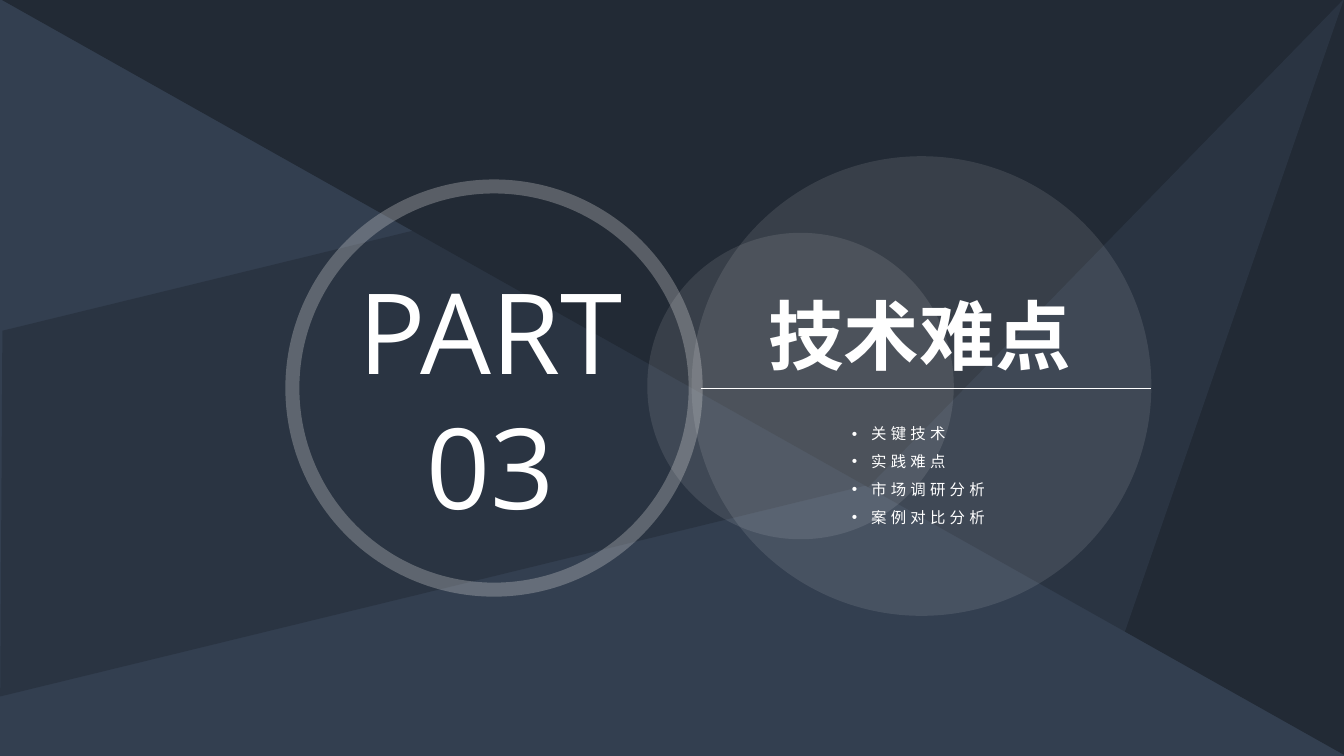
"""Build the section divider slide for part 03."""
from lxml import etree
from pptx import Presentation
from pptx import util as u
from pptx.dml.color import RGBColor
from pptx.enum import shapes, text
from pptx.oxml import ns

COLORS = {"slate": "333F50", "night": "222A35", "ring": "D9D9D9", "white": "FFFFFF"}


def paint(fill, color, opacity=100):
    fill.solid()
    fill.fore_color.rgb = RGBColor.from_string(COLORS[color])
    if opacity < 100:
        tint = fill._xPr.find(".//" + ns.qn("a:srgbClr"))
        etree.SubElement(tint, ns.qn("a:alpha"), val=str(opacity * 1000))


def write(para, words, font, size, bold=False):
    span = para.add_run()
    span.text = words
    span.font.name, span.font.size, span.font.bold = font, u.Pt(size), bold
    paint(span.font.fill, "white")
    props = span._r.get_or_add_rPr()
    etree.SubElement(props, ns.qn("a:ea"), typeface=font)
    return props


deck = Presentation()
deck.slide_width, deck.slide_height = u.Inches(13.33), u.Inches(7.5)
page = deck.slides.add_slide(deck.slide_layouts[1])
paint(page.background.fill, "slate")

KINDS = shapes.MSO_SHAPE
facets = [
    (KINDS.ISOSCELES_TRIANGLE, 0.02, 0, 13.33, 7.5, 180, 0, "night", 100),
    (KINDS.PARALLELOGRAM, -0.62, 1.73, 14.44, 3.52, 166.3, 0.25, "night", 50),
    (KINDS.ISOSCELES_TRIANGLE, 8.47, -0.83, 3.68, 7.84, 19.1, 1, "slate", 50),
]
for kind, left, top, width, height, turn, skew, color, opacity in facets:
    facet = page.shapes.add_shape(kind, *map(u.Inches, (left, top, width, height)))
    facet.rotation = turn
    facet.adjustments[0] = skew
    facet.shadow.inherit = False
    paint(facet.fill, color, opacity)
    facet.line.fill.background()

for left, top, size, is_ring in [(2.9, 1.85, 4, True), (6.42, 2.31, 3.04, False), (6.86, 1.55, 4.56, False)]:
    circle = page.shapes.add_shape(KINDS.OVAL, *map(u.Inches, (left, top, size, size)))
    circle.shadow.inherit = False
    if is_ring:
        circle.fill.background()
        circle.line.width = u.Pt(10)
        paint(circle.line.fill, "ring", 30)
    else:
        paint(circle.fill, "white", 10)
        circle.line.fill.background()

part = page.shapes.add_textbox(*map(u.Inches, (3.18, 2.56, 3.38, 2.79)))
part.text_frame.word_wrap = True
part.text_frame.auto_size = text.MSO_AUTO_SIZE.SHAPE_TO_FIT_TEXT
for row, words in enumerate(["PART", "03"]):
    para = part.text_frame.add_paragraph() if row else part.text_frame.paragraphs[0]
    para.alignment = text.PP_ALIGN.CENTER
    write(para, words, "Open Sans", 80)

rule = page.shapes.add_connector(shapes.MSO_CONNECTOR.STRAIGHT, *map(u.Inches, (6.95, 3.85, 11.42, 3.85)))
rule.line.width = u.Pt(0.5)
paint(rule.line.fill, "white")
etree.SubElement(rule._element.spPr, ns.qn("a:effectLst"))

title, body = page.shapes.title, page.placeholders[1]
for box, place in [(title, (7.52, 2.82, 3.25, 1.01)), (body, (8.45, 4.12, 1.42, 1.08))]:
    box.left, box.top, box.width, box.height = map(u.Inches, place)
    box.text_frame.vertical_anchor = text.MSO_ANCHOR.TOP
    box.text_frame.auto_size = text.MSO_AUTO_SIZE.SHAPE_TO_FIT_TEXT
    page.shapes._spTree.append(box._element)

title.text_frame.word_wrap = False
heading = title.text_frame.paragraphs[0]
heading.alignment = text.PP_ALIGN.LEFT
write(heading, "技术难点", "Noto Sans CJK JP", 54, True)

frame = body.text_frame
frame.word_wrap = True
frame.margin_left = frame.margin_top = frame.margin_right = frame.margin_bottom = 0
for row, words in enumerate(["关键技术", "实践难点", "市场调研分析", "案例对比分析"]):
    para = frame.add_paragraph() if row else frame.paragraphs[0]
    para.line_spacing, para.space_before = 1.5, u.Pt(0)
    indent = para._p.get_or_add_pPr()
    indent.set("marL", str(u.Inches(0.19)))
    indent.set("indent", str(-u.Inches(0.19)))
    tint = etree.SubElement(indent, ns.qn("a:buClr"))
    etree.SubElement(tint, ns.qn("a:srgbClr"), val=COLORS["white"])
    etree.SubElement(indent, ns.qn("a:buFont"), typeface="Arial")
    etree.SubElement(indent, ns.qn("a:buChar"), char="•")
    write(para, words, "Roboto Condensed", 11).set("spc", "300")

deck.save("out.pptx")
